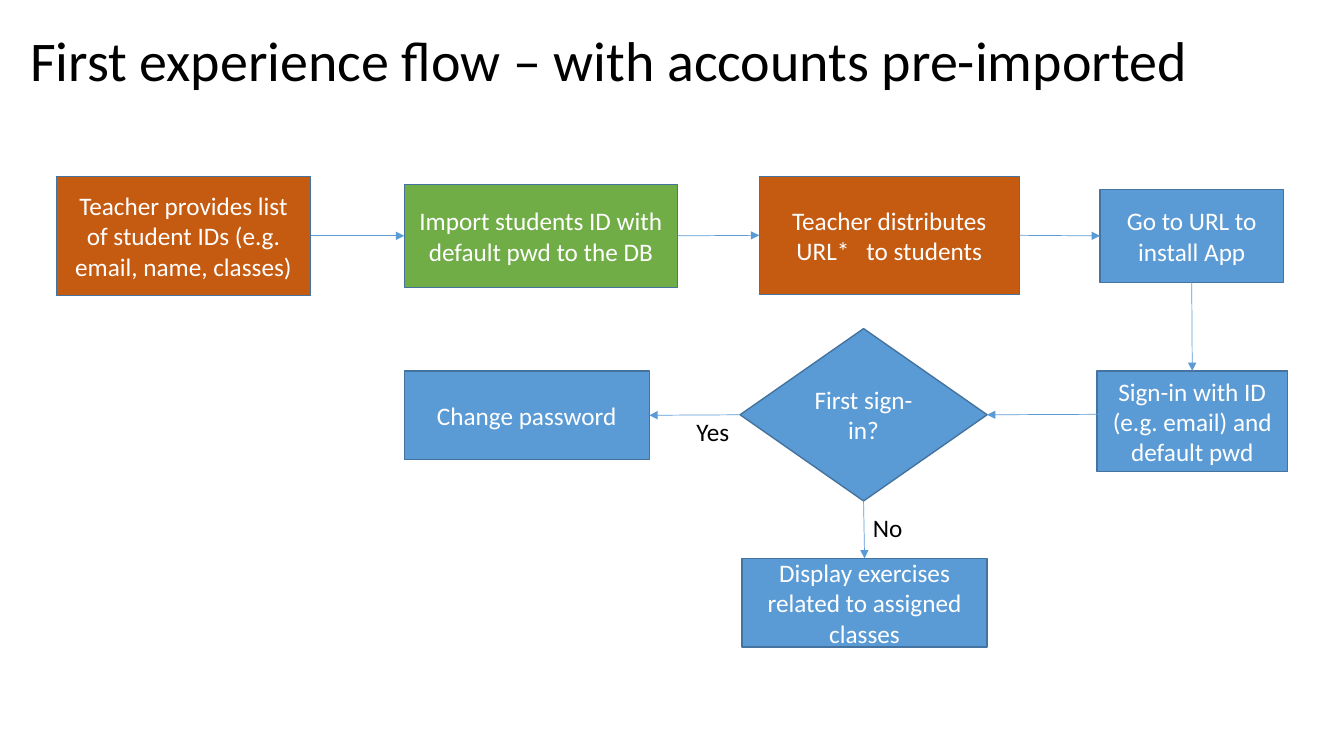
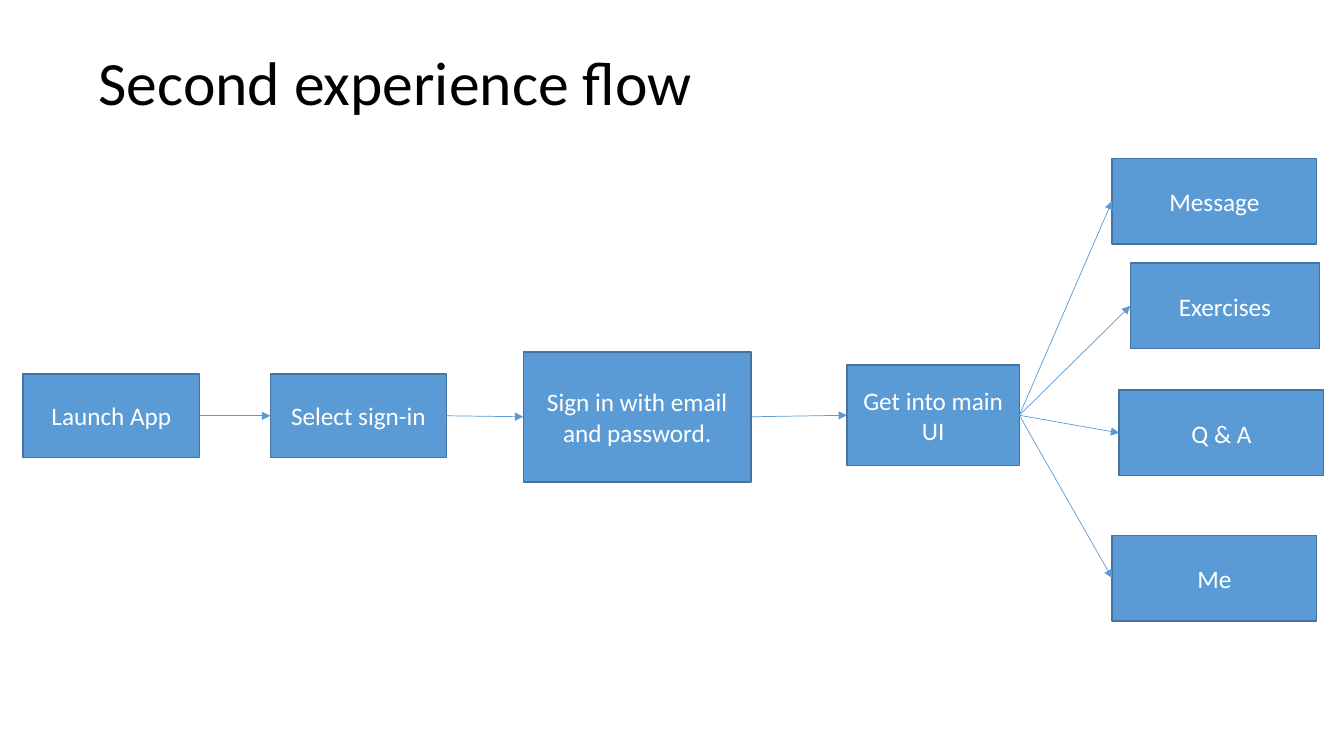
from lxml.etree import SubElement
from pptx import Presentation
from pptx.dml.color import RGBColor
from pptx.enum.shapes import MSO_CONNECTOR as LINE, MSO_SHAPE as SHAPE
from pptx.enum.text import MSO_ANCHOR as ANCHOR, PP_ALIGN as ALIGN
from pptx.oxml.ns import qn
from pptx.util import Pt

PX = 9144  # EMU per px, 100 px to the inch
SLIDE_W, SLIDE_H = 1333, 750
FONT = "Calibri"
BODY_SIZE = 18
COLORS = {
    "app": "5B9BD5",
    "teacher": "C55A11",
    "import": "70AD47",
    "border": "43739E",
    "arrow": "5B9BD5",
    "on_fill": "FFFFFF",
    "ink": "000000",
}
TOP, LEFT, BOTTOM, RIGHT = range(4)  # connection sites of a box
NEXT, BACK, DOWN = (RIGHT, LEFT), (LEFT, RIGHT), (BOTTOM, TOP)

# Steps: key -> (text, colour, (left, top, width, height))
# Arrows: (start step or point, end step, direction)
FLOWS = [
    {
        "title": ("First experience flow – with accounts pre-imported", 40, (20, 12, 1257, 102)),
        "steps": {
            "list": ("Teacher provides list of student IDs (e.g. email, name, classes)",
                     "teacher", (56, 175, 252, 118)),
            "import": ("Import students ID with default pwd to the DB", "import", (401, 183, 271, 102)),
            "share": ("Teacher distributes URL*   to students", "teacher", (753, 175, 258, 117)),
            "install": ("Go to URL to install App", "app", (1091, 188, 182, 92)),
            "sign in": ("Sign-in with ID (e.g. email) and default pwd", "app", (1088, 368, 189, 100)),
            "first": ("First sign-in?", "app", (734, 326, 245, 171)),
            "password": ("Change password", "app", (401, 368, 243, 88)),
            "exercises": ("Display exercises related to assigned classes", "app", (736, 554, 243, 88)),
        },
        "decisions": {"first"},
        "arrows": [
            ("list", "import", NEXT),
            ("import", "share", NEXT),
            ("share", "install", NEXT),
            ("install", "sign in", DOWN),
            ((1098, 411), "first", BACK),
            ("first", "password", BACK),
            ("first", "exercises", DOWN),
        ],
        "answers": [("Yes", (681, 408, 53, 40)), ("No", (856, 503, 50, 40))],
    },
    {
        "title": ("Second experience flow", 44, (88, 12, 1150, 145)),
        "steps": {
            "launch": ("Launch App", "app", (23, 371, 175, 83)),
            "select": ("Select sign-in", "app", (268, 371, 175, 83)),
            "sign in": ("Sign in with email and password.", "app", (519, 349, 226, 129)),
            "main": ("Get into main UI", "app", (840, 362, 171, 100)),
            "message": ("Message", "app", (1103, 157, 203, 85)),
            "exercises": ("Exercises", "app", (1121, 261, 188, 85)),
            "q&a": ("Q & A", "app", (1110, 387, 203, 85)),
            "me": ("Me", "app", (1103, 531, 203, 85)),
        },
        "decisions": set(),
        "arrows": [
            ("launch", "select", NEXT),
            ("select", "sign in", NEXT),
            ("sign in", "main", NEXT),
            *(("main", page, NEXT) for page in ("message", "exercises", "q&a", "me")),
        ],
        "answers": [],
    },
]


def emu(lengths):
    return [length * PX for length in lengths]


def rgb(name):
    return RGBColor.from_string(COLORS[name])


def write(shape, text, size, color, align, anchor, wrap=True):
    frame = shape.text_frame
    frame.text = text
    frame.word_wrap = wrap
    frame.vertical_anchor = anchor
    paragraph = frame.paragraphs[0]
    paragraph.alignment = align
    font = paragraph.runs[0].font
    font.name, font.size = FONT, Pt(size)
    font.color.rgb = rgb(color)
    return paragraph


def add_title(slide, text, size, place):
    title = slide.shapes.add_textbox(*emu(place))
    write(title, text, size, "ink", ALIGN.LEFT, ANCHOR.MIDDLE).line_spacing = 0.9


def add_step(slide, text, color, place, outline):
    step = slide.shapes.add_shape(outline, *emu(place))
    step.shadow.inherit = False
    step.fill.solid()
    step.fill.fore_color.rgb = rgb(color)
    step.line.color.rgb = rgb("border")
    step.line.width = Pt(1)
    write(step, text, BODY_SIZE, "on_fill", ALIGN.CENTER, ANCHOR.MIDDLE)
    return step


def add_arrow(slide, steps, start, end, direction):
    start_site, end_site = direction
    from_point = isinstance(start, tuple)
    begin = emu(start) if from_point else (0, 0)
    arrow = slide.shapes.add_connector(LINE.STRAIGHT, *begin, 0, 0)
    if not from_point:
        arrow.begin_connect(steps[start], start_site)
    arrow.end_connect(steps[end], end_site)
    arrow.line.color.rgb = rgb("arrow")
    arrow.line.width = Pt(0.5)
    SubElement(arrow.line._get_or_add_ln(), qn("a:tailEnd"), type="triangle")
    SubElement(arrow._element.spPr, qn("a:effectLst"))


def add_answer(slide, text, place):
    answer = slide.shapes.add_textbox(*emu(place))
    write(answer, text, BODY_SIZE, "ink", ALIGN.LEFT, ANCHOR.TOP, wrap=False)


def build_flow(slide, flow):
    add_title(slide, *flow["title"])
    steps = {}
    for key, step in flow["steps"].items():
        outline = SHAPE.DIAMOND if key in flow["decisions"] else SHAPE.RECTANGLE
        steps[key] = add_step(slide, *step, outline)
    for arrow in flow["arrows"]:
        add_arrow(slide, steps, *arrow)
    for answer in flow["answers"]:
        add_answer(slide, *answer)


def main():
    deck = Presentation()
    deck.slide_width, deck.slide_height = emu((SLIDE_W, SLIDE_H))
    blank = deck.slide_layouts[6]
    for flow in FLOWS:
        build_flow(deck.slides.add_slide(blank), flow)
    deck.save("out.pptx")


if __name__ == "__main__":
    main()
